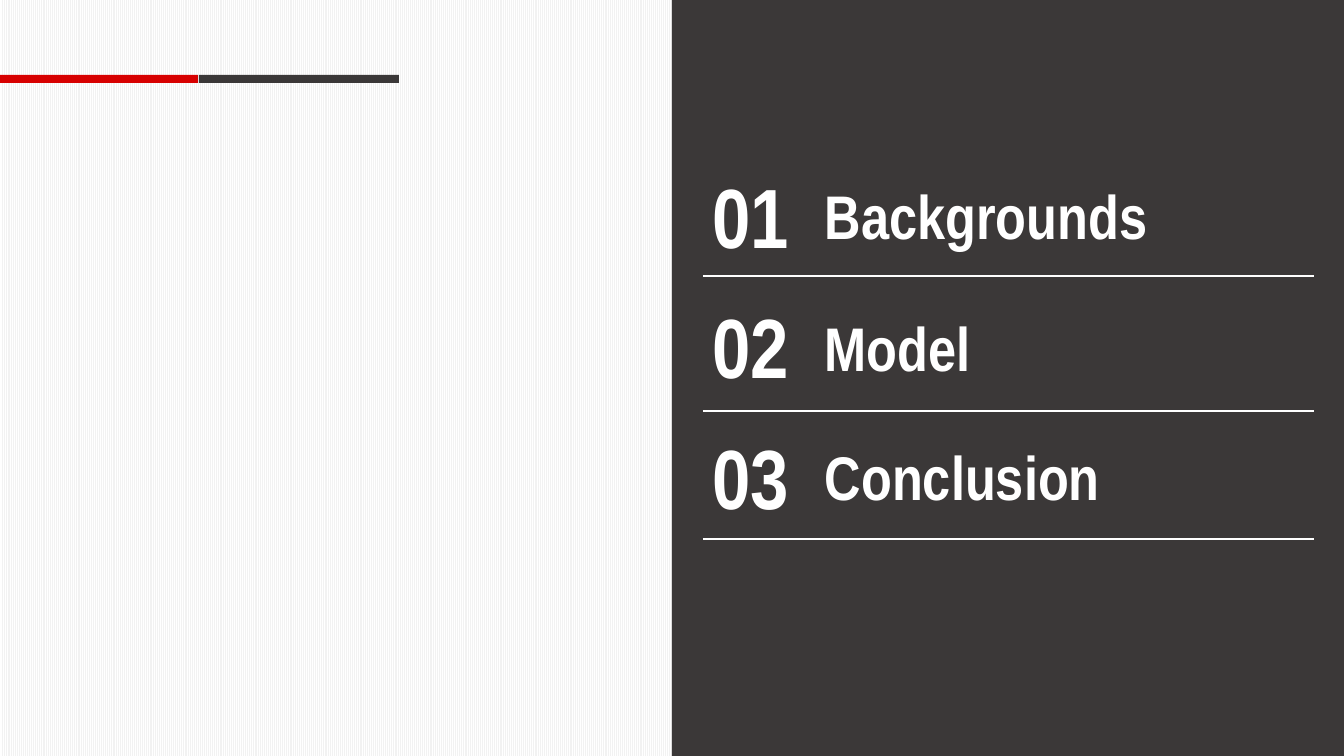
"""Build the agenda slide with three numbered sections on a dark panel."""
import dataclasses

import lxml.etree
import pptx
import pptx.dml.color
import pptx.enum.dml
import pptx.enum.shapes
import pptx.enum.text
import pptx.oxml.ns
import pptx.util

ALIGN = pptx.enum.text.PP_ALIGN
EMU_PER_PX = 914400 / 100.8


def px(length):
    return pptx.util.Emu(round(length * EMU_PER_PX))


def color(value):
    return pptx.dml.color.RGBColor.from_string(value)


@dataclasses.dataclass(frozen=True)
class Theme:
    font: str = "Arial Narrow"
    dark: str = "3B3838"
    accent: str = "D70000"
    light: str = "FFFFFF"
    stripe: str = "F2F2F2"
    number_size: int = 60
    label_size: int = 44
    rule_width: int = 1


class AgendaSlide:
    def __init__(self, presentation, theme):
        self.theme = theme
        self.slide = presentation.slides.add_slide(presentation.slide_layouts[6])

    def background(self):
        fill = self.slide.background.fill
        fill.patterned()
        fill.pattern = pptx.enum.dml.MSO_PATTERN.NARROW_VERTICAL
        fill.fore_color.rgb = color(self.theme.stripe)
        fill.back_color.rgb = color(self.theme.light)

    def group(self):
        return self.slide.shapes.add_group_shape()

    def rectangle(self, parent, box, fill):
        shape = parent.shapes.add_shape(
            pptx.enum.shapes.MSO_SHAPE.RECTANGLE, *map(px, box))
        shape.shadow.inherit = False
        shape.fill.solid()
        shape.fill.fore_color.rgb = color(fill)
        shape.line.fill.background()

    def rule(self, left, right, top):
        connector = self.slide.shapes.add_connector(
            pptx.enum.shapes.MSO_CONNECTOR.STRAIGHT,
            px(left), px(top), px(right), px(top))
        connector.line.color.rgb = color(self.theme.light)
        connector.line.width = pptx.util.Pt(self.theme.rule_width)
        lxml.etree.SubElement(
            connector._element.spPr, pptx.oxml.ns.qn("a:effectLst"))

    def text(self, parent, box, content, size, alignment=ALIGN.LEFT):
        frame = parent.shapes.add_textbox(*map(px, box)).text_frame
        frame.word_wrap = True
        frame.auto_size = pptx.enum.text.MSO_AUTO_SIZE.SHAPE_TO_FIT_TEXT
        paragraph = frame.paragraphs[0]
        paragraph.alignment = alignment
        run = paragraph.add_run()
        run.text = content
        formats = {"name": self.theme.font, "size": pptx.util.Pt(size), "bold": True}
        for name, value in formats.items():
            setattr(run.font, name, value)
        run.font.color.rgb = color(self.theme.light)

    def section(self, number, label, number_top, label_top):
        group = self.group()
        self.text(group, (698, number_top, 106, 112), f"{number:02d}",
                  self.theme.number_size, ALIGN.CENTER)
        self.text(group, (815, label_top, 551, 85), label, self.theme.label_size)


def main():
    presentation = pptx.Presentation()
    presentation.slide_width, presentation.slide_height = px(1344), px(756)
    theme = Theme()
    agenda = AgendaSlide(presentation, theme)
    agenda.background()
    agenda.rectangle(agenda.slide, (672, 0, 672, 756), theme.dark)

    bars = agenda.group()
    for index, fill in enumerate((theme.accent, theme.dark)):
        agenda.rectangle(bars, (-2 + 201 * index, 75, 200, 8), fill)

    for top in (276, 411, 539):
        agenda.rule(703, 1314, top)

    sections = (("Backgrounds", 160, 173), ("Model", 290, 305), ("Conclusion", 421, 434))
    for number, section in enumerate(sections, start=1):
        agenda.section(number, *section)

    presentation.save("out.pptx")


if __name__ == "__main__":
    main()
